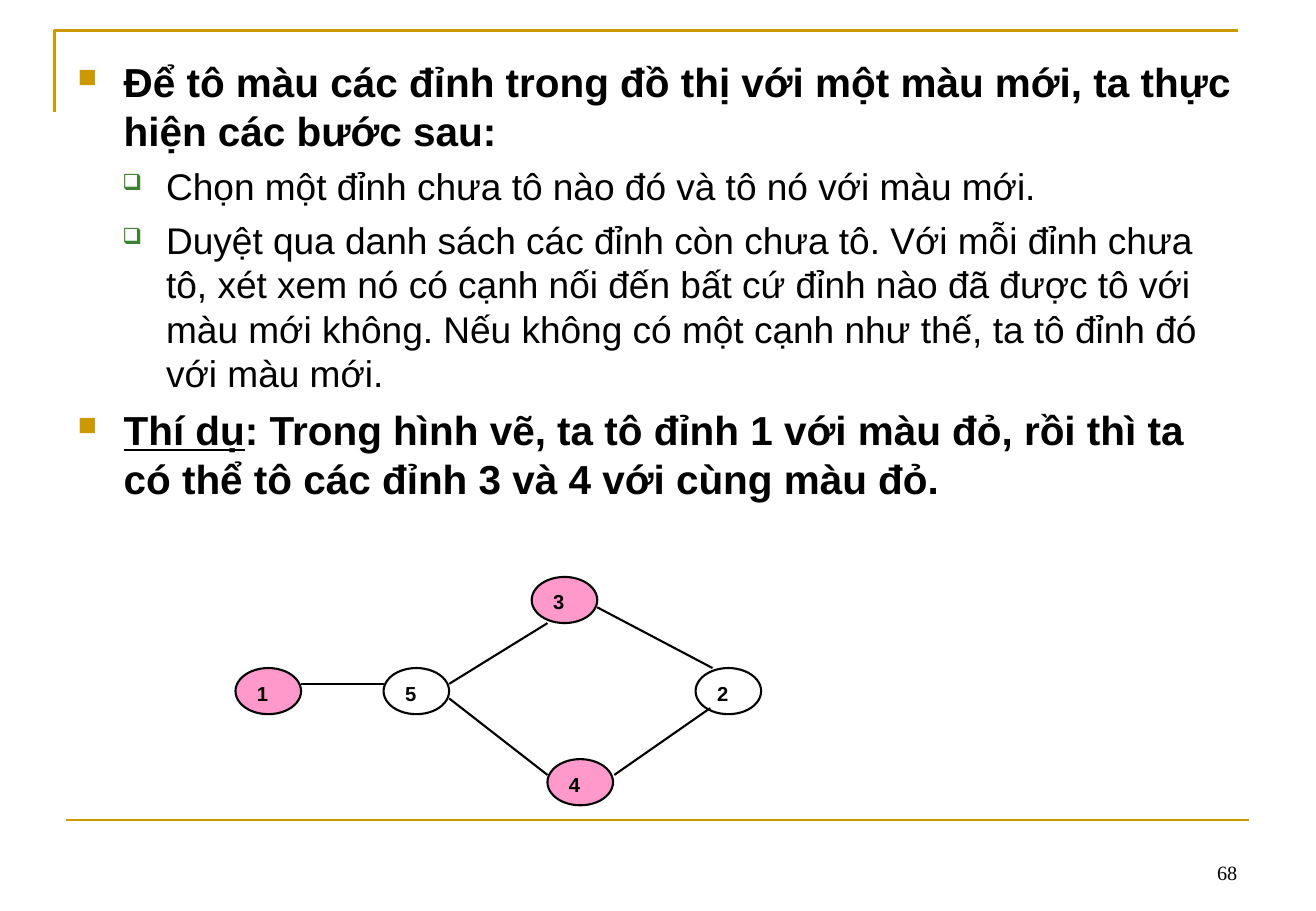
from lxml import etree
from pptx import Presentation
from pptx import util as u
from pptx.dml.color import RGBColor
from pptx.enum import shapes, text
from pptx.oxml import ns

PX = 9144  # 100 px to the inch
GOLD, GREEN, PINK, WHITE, BLACK = "CC9900", "3B812F", "FF99CC", "FFFFFF", "000000"

# Content: level, then (text, underlined) spans
BODY = [
    (0, [("Để tô màu các đỉnh trong đồ thị với một màu mới, ta thực hiện các bước sau:", False)]),
    (1, [("Chọn một đỉnh chưa tô nào đó và tô nó với màu mới.", False)]),
    (1, [("Duyệt qua danh sách các đỉnh còn chưa tô. Với mỗi đỉnh chưa tô, xét xem nó có "
          "cạnh nối đến bất cứ đỉnh nào đã được tô với màu mới không. Nếu không có một cạnh "
          "như thế, ta tô đỉnh đó với màu mới.", False)]),
    (0, [("Thí dụ", True),
         (": Trong hình vẽ, ta tô đỉnh 1 với màu đỏ, rồi thì ta có thể tô các đỉnh 3 và 4 "
          "với cùng màu đỏ.", False)]),
]
LEVELS = [
    dict(size=24, bold=True, margin=38, hang=38, before=6, char="■", color=GOLD, percent=65),
    dict(size=22, bold=False, margin=73, hang=36, before=5.5, char="❑", color=GREEN, percent=60),
]
PAGE_NUMBER = "68"

# Graph: vertex -> left, top, fill; edges run between (vertex, dx, dy) points
VERTEX_SIZE = (54, 38)
VERTICES = {
    "1": (194, 550, PINK),
    "5": (316, 550, WHITE),
    "3": (438, 475, PINK),
    "2": (573, 550, WHITE),
    "4": (451, 625, PINK),
}
EDGES = [
    (("1", 54, 13), ("5", 0, 13)),
    (("5", 54, 25), ("4", 0, 13)),
    (("5", 54, 13), ("3", 13, 38)),
    (("3", 54, 25), ("2", 14, 0)),
    (("2", 12, 33), ("4", 55, 13)),
]


def px(*lengths):
    return [u.Emu(length * PX) for length in lengths]


def rgb(value):
    return RGBColor.from_string(value)


def apply(target, **values):
    for name, value in values.items():
        setattr(target, name, value)


def set_line(shape, color, width):
    shape.line.color.rgb = rgb(color)
    shape.line.width = u.Pt(width)


def add_line(start, end, color, width):
    line = page.shapes.add_connector(shapes.MSO_CONNECTOR.STRAIGHT, *px(*start, *end))
    set_line(line, color, width)
    etree.SubElement(line._element.spPr, ns.qn("a:effectLst"))


def add_span(para, words, size, font="Arial", bold=False, underline=None):
    span = para.add_run()
    span.text = words
    apply(span.font, size=u.Pt(size), name=font, bold=bold, underline=underline)
    span.font.color.rgb = rgb(BLACK)


def set_frame(box, anchor):
    left, top = px(10, 5)
    apply(box.text_frame, word_wrap=True, vertical_anchor=anchor, margin_left=left,
          margin_right=left, margin_top=top, margin_bottom=top)
    return box.text_frame


def add_bullet(para, style):
    margin, hang = px(style["margin"], style["hang"])
    props = para._p.get_or_add_pPr()
    props.set("marL", str(margin))
    props.set("indent", str(-hang))
    color = etree.SubElement(props, ns.qn("a:buClr"))
    etree.SubElement(color, ns.qn("a:srgbClr"), val=style["color"])
    etree.SubElement(props, ns.qn("a:buSzPct"), val=str(style["percent"] * 1000))
    etree.SubElement(props, ns.qn("a:buChar"), char=style["char"])


deck = Presentation()
deck.slide_width, deck.slide_height = px(1084, 750)
page = deck.slides.add_slide(deck.slide_layouts[6])

# Gold corner and bottom rule
builder = page.shapes.build_freeform(45, 92, scale=PX)
builder.add_line_segments([(45, 25), (1020, 25)], close=False)
corner = builder.convert_to_shape()
corner.shadow.inherit = False
corner.fill.background()
set_line(corner, GOLD, 1.5)
add_line((54, 675), (1029, 675), GOLD, 1.5)

# Page number
number_box = page.shapes.add_textbox(*px(776, 683, 253, 50))
para = set_frame(number_box, text.MSO_ANCHOR.BOTTOM).paragraphs[0]
para.alignment = text.PP_ALIGN.RIGHT
add_span(para, PAGE_NUMBER, 12, "Times New Roman")

# Bulleted text
body_box = page.shapes.add_textbox(*px(54, 42, 975, 408))
frame = set_frame(body_box, text.MSO_ANCHOR.TOP)
for index, (level, spans) in enumerate(BODY):
    style = LEVELS[level]
    para = frame.add_paragraph() if index else frame.paragraphs[0]
    para.level = level
    add_bullet(para, style)
    if index:
        para.space_before = u.Pt(style["before"])
    for words, underlined in spans:
        add_span(para, words, style["size"], bold=style["bold"], underline=underlined or None)

# Graph vertices
for label, (left, top, fill) in VERTICES.items():
    vertex = page.shapes.add_shape(shapes.MSO_SHAPE.OVAL, *px(left, top, *VERTEX_SIZE))
    vertex.shadow.inherit = False
    vertex.fill.solid()
    vertex.fill.fore_color.rgb = rgb(fill)
    set_line(vertex, BLACK, 1.25)
    para = set_frame(vertex, text.MSO_ANCHOR.TOP).paragraphs[0]
    para.alignment = text.PP_ALIGN.LEFT
    add_span(para, label, 12, bold=True)

# Graph edges
for edge in EDGES:
    start, end = [(VERTICES[name][0] + dx, VERTICES[name][1] + dy) for name, dx, dy in edge]
    add_line(start, end, BLACK, 1.25)

deck.save("out.pptx")
